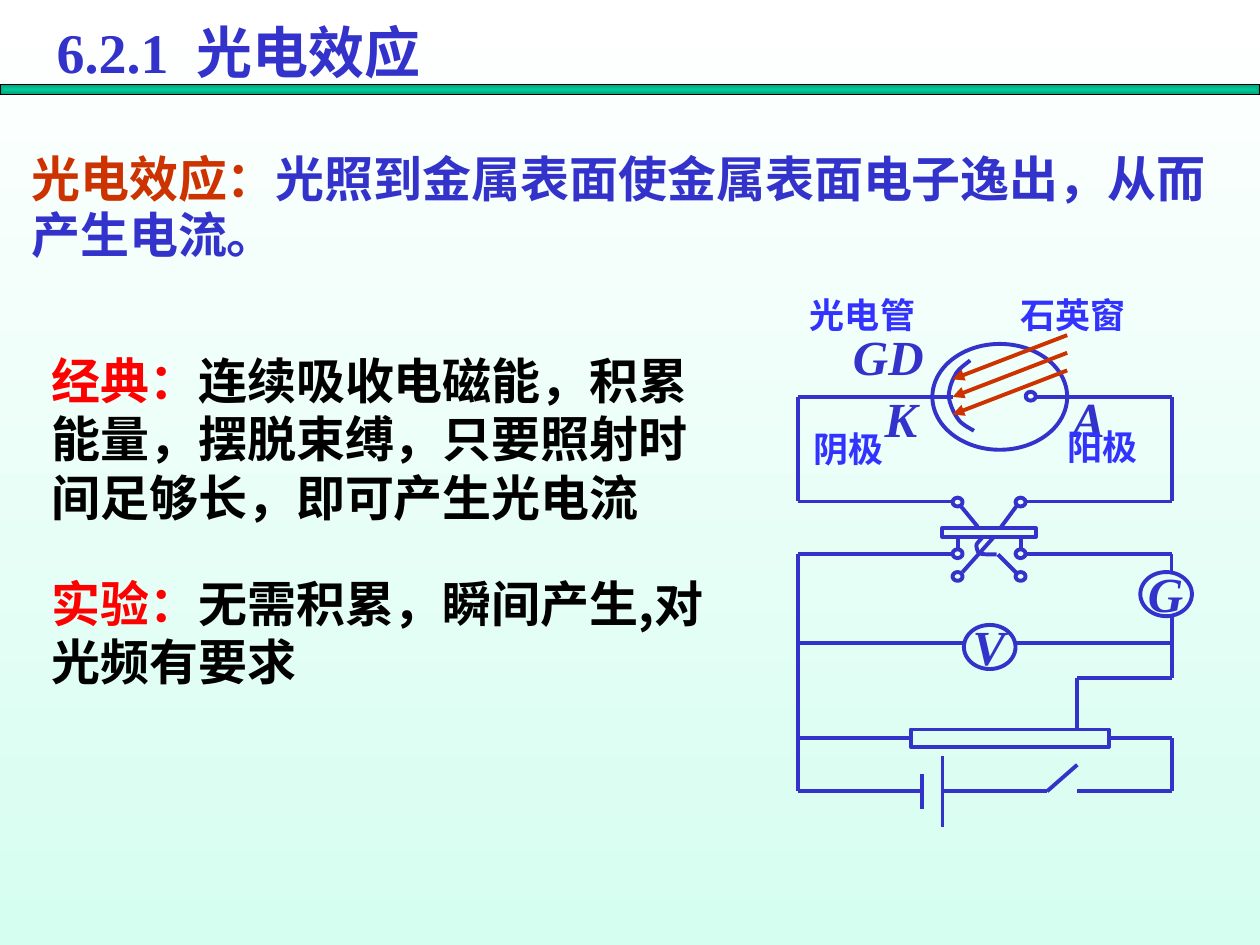
from dataclasses import dataclass

from lxml.etree import SubElement
from pptx import Presentation
from pptx.dml.color import RGBColor
from pptx.enum.shapes import MSO_CONNECTOR as Connector, MSO_SHAPE as Shape
from pptx.enum.text import MSO_ANCHOR as Anchor, MSO_AUTO_SIZE as AutoSize, PP_ALIGN as Align
from pptx.oxml.ns import qn
from pptx.util import Inches, Pt


@dataclass(frozen=True)
class Theme:
    blue: str = "3333CC"
    label_blue: str = "3333FF"
    orange: str = "CC3300"
    red: str = "FF0000"
    black: str = "000000"
    backdrop: tuple = ("FFFFFF", "D6FEF0")
    bar: tuple = ("00CC99", "00A179")
    serif: str = "Times New Roman"
    sans: str = "Noto Sans CJK SC"
    title_size: int = 32
    body_size: int = 28
    label_size: int = 20
    stroke: float = 2.25


class SlideBuilder:
    def __init__(self, slide, theme):
        self.slide = slide
        self.shapes = slide.shapes
        self.theme = theme

    def gradient(self, fill, colors):
        fill.gradient()
        fill.gradient_angle = 270
        for stop, color in zip(fill.gradient_stops, colors):
            stop.color.rgb = RGBColor.from_string(color)

    def outline(self, item, color=None, width=None):
        item.line.color.rgb = RGBColor.from_string(color or self.theme.blue)
        item.line.width = Pt(width or self.theme.stroke)

    def fill_text(self, box, parts, size, font=None, italic=False, align=Align.LEFT,
                  anchor=Anchor.TOP, wrap=True, spacing=None):
        """Fill a box with one paragraph made of (text, color) parts."""
        frame = box.text_frame
        frame.word_wrap = wrap
        frame.auto_size = AutoSize.NONE
        frame.vertical_anchor = anchor
        frame.margin_left = frame.margin_right = Inches(0.1)
        frame.margin_top = frame.margin_bottom = Inches(0.05)
        para = frame.paragraphs[0]
        para.alignment = align
        if spacing:
            para.line_spacing = spacing
        for text, color in parts:
            span = para.add_run()
            span.text = text
            span.font.size = Pt(size)
            span.font.bold = True
            span.font.italic = italic
            span.font.color.rgb = RGBColor.from_string(color)
            span.font.name = font or self.theme.serif
            SubElement(span.font._element, qn("a:ea"), typeface=self.theme.sans)

    def title(self, text, left, top, width, height):
        box = self.shapes.title
        box.left, box.top = Inches(left), Inches(top)
        box.width, box.height = Inches(width), Inches(height)
        self.fill_text(box, [(text, self.theme.blue)], self.theme.title_size)

    def text(self, parts, left, top, width, height, size, **style):
        box = self.shapes.add_textbox(*map(Inches, (left, top, width, height)))
        self.fill_text(box, parts, size, **style)

    def symbol(self, letter, left, top, width):
        self.text([(letter, self.theme.blue)], left, top, width, 0.57, self.theme.body_size,
                  italic=True, align=Align.CENTER, anchor=Anchor.MIDDLE, wrap=False)

    def label(self, text, left, top, width):
        self.text([(text, self.theme.label_blue)], left, top, width, 0.44,
                  self.theme.label_size, wrap=False)

    def shape(self, kind, left, top, width, height):
        item = self.shapes.add_shape(kind, *map(Inches, (left, top, width, height)))
        item.shadow.inherit = False
        item.fill.background()
        self.outline(item)
        return item

    def bar(self, left, top, width, height):
        item = self.shape(Shape.RECTANGLE, left, top, width, height)
        self.gradient(item.fill, self.theme.bar)
        self.outline(item, self.theme.black, 1)
        # Turn the linear gradient into one that runs from the edges to the centre
        gradient = item._element.spPr.find(qn("a:gradFill"))
        gradient.remove(gradient.find(qn("a:lin")))
        route = SubElement(gradient, qn("a:path"), path="rect")
        SubElement(route, qn("a:fillToRect"), l="50000", t="50000", r="50000", b="50000")

    def line(self, start, end, color=None, width=None, arrow=False):
        item = self.shapes.add_connector(Connector.STRAIGHT, *map(Inches, (*start, *end)))
        self.outline(item, color, width)
        if arrow:
            SubElement(item.line._get_or_add_ln(), qn("a:tailEnd"), type="triangle")
        SubElement(item._element.spPr, qn("a:effectLst"))
        return item

    def wire(self, *points):
        for start, end in zip(points, points[1:]):
            self.line(start, end)

    def curve(self, start, *segments, steps=10):
        """Draw chained cubic curves, each given as two controls and an end."""
        points = [start]
        for first, second, end in segments:
            origin = points[-1]
            for step in range(1, steps + 1):
                t = step / steps
                weights = ((1 - t) ** 3, 3 * t * (1 - t) ** 2, 3 * t * t * (1 - t), t ** 3)
                knots = (origin, first, second, end)
                points.append(tuple(sum(w * k[axis] for w, k in zip(weights, knots))
                                    for axis in (0, 1)))
        outline = [(Inches(x), Inches(y)) for x, y in points]
        builder = self.shapes.build_freeform(*outline[0])
        builder.add_line_segments(outline[1:], close=False)
        item = builder.convert_to_shape()
        item.shadow.inherit = False
        item.fill.background()
        self.outline(item)


def build_circuit(page, theme):
    left, right = 6.33, 9.3

    # Phototube: bulb and curved cathode
    page.shape(Shape.OVAL, 7.4, 2.73, 1.07, 0.84)
    page.curve((7.7, 2.86),
               ((7.68, 2.88), (7.6, 2.93), (7.58, 2.98)),
               ((7.55, 3.03), (7.53, 3.1), (7.53, 3.15)),
               ((7.54, 3.21), (7.57, 3.28), (7.6, 3.32)),
               ((7.63, 3.37), (7.7, 3.4), (7.73, 3.42)))

    # Wiring
    page.wire((7.56, 3.15), (left, 3.15), (left, 3.98), (7.56, 3.98))
    page.wire((8.22, 3.15), (right, 3.15), (right, 3.98), (8.14, 3.98))
    page.wire((8.14, 4.4), (right, 4.4))
    page.line((right, 4.4), (right, 4.54), width=1.5)
    page.wire((7.56, 4.4), (left, 4.4), (left, 6.28), (7.32, 6.28))
    page.wire((left, 5.1), (7.65, 5.1))
    page.wire((right, 5.1), (8.06, 5.1))
    page.wire((right, 4.89), (right, 5.38), (8.55, 5.38), (8.55, 5.79))

    # Rheostat
    rheostat = page.shape(Shape.RECTANGLE, 7.23, 5.79, 1.57, 0.14)
    page.line((left, 5.86), (7.23, 5.86)).end_connect(rheostat, 1)
    page.line((right, 5.86), (8.8, 5.86)).end_connect(rheostat, 3)

    # Battery and switch
    page.wire((7.32, 6.14), (7.32, 6.42))
    page.wire((7.48, 6), (7.48, 6.56))
    page.wire((7.48, 6.28), (8.31, 6.28), (8.55, 6.07))
    page.wire((8.55, 6.28), (right, 6.28), (right, 5.86))

    # Reversing switch
    page.shape(Shape.RECTANGLE, 7.48, 4.19, 0.74, 0.07)
    for column in (7.56, 8.06):
        for row in (3.95, 4.36, 4.54):
            page.shape(Shape.OVAL, column, row, 0.08, 0.07)
        page.wire((column + 0.04, 4.26), (column + 0.04, 4.36))
    page.wire((8.08, 4), (7.94, 4.19))
    page.wire((7.89, 4.26), (7.64, 4.54))
    page.wire((7.62, 4.01), (7.76, 4.18))
    page.wire((8.07, 4.55), (7.92, 4.4))
    page.curve((7.91, 4.4),
               ((7.9, 4.4), (7.87, 4.4), (7.85, 4.4)),
               ((7.83, 4.4), (7.79, 4.4), (7.77, 4.39)),
               ((7.76, 4.38), (7.75, 4.35), (7.75, 4.33)),
               ((7.75, 4.31), (7.79, 4.28), (7.8, 4.26)))

    # Meters
    for letter, x, y, text_left, width in (("V", 7.65, 4.96, 7.62, 0.46),
                                           ("G", 9.05, 4.54, 9.01, 0.48)):
        page.shape(Shape.OVAL, x, y, 0.41, 0.35)
        page.symbol(letter, text_left, y - 0.12, width)

    # Anode and incoming light
    page.shape(Shape.OVAL, 8.14, 3.11, 0.08, 0.07)
    for top in (2.66, 2.8, 2.94):
        page.line((8.47, top), (7.56, top + 0.35), color=theme.orange, arrow=True)

    # Symbols and labels
    for letter, x, y, width in (("GD", 6.67, 2.54, 0.76), ("K", 6.92, 3.03, 0.46),
                                ("A", 8.41, 3.03, 0.46)):
        page.symbol(letter, x, y, width)
    for name, x, y, width in (("光电管", 6.33, 2.28, 1.03), ("阴极", 6.36, 3.34, 0.75),
                              ("石英窗", 8, 2.28, 1.03), ("阳极", 8.37, 3.33, 0.75)):
        page.label(name, x, y, width)


def main():
    theme = Theme()
    deck = Presentation()
    deck.slide_width, deck.slide_height = Inches(10), Inches(7.5)
    page = SlideBuilder(deck.slides.add_slide(deck.slide_layouts[5]), theme)
    page.gradient(page.slide.background.fill, theme.backdrop)

    # Heading and definition
    page.title("6.2.1  光电效应", 0.35, 0.09, 4.49, 0.64)
    page.bar(0, 0.67, 10, 0.08)
    page.text([("光电效应：", theme.orange),
               ("光照到金属表面使金属表面电子逸出，从而产生电流。", theme.blue)],
              0.15, 1.16, 9.6, 0.99, theme.body_size, anchor=Anchor.MIDDLE, spacing=0.95)

    build_circuit(page, theme)

    # Classical view against experiment
    for lead, body, top, height in (
            ("经典：", "连续吸收电磁能，积累能量，摆脱束缚，只要照射时间足够长，即可产生光电流", 2.73, 1.5),
            ("实验：", "无需积累，瞬间产生,对光频有要求", 4.5, 1.04)):
        page.text([(lead, theme.red), (body, theme.black)], 0.31, top, 5.39, height,
                  theme.body_size, font=theme.sans)

    deck.save("out.pptx")


if __name__ == "__main__":
    main()
